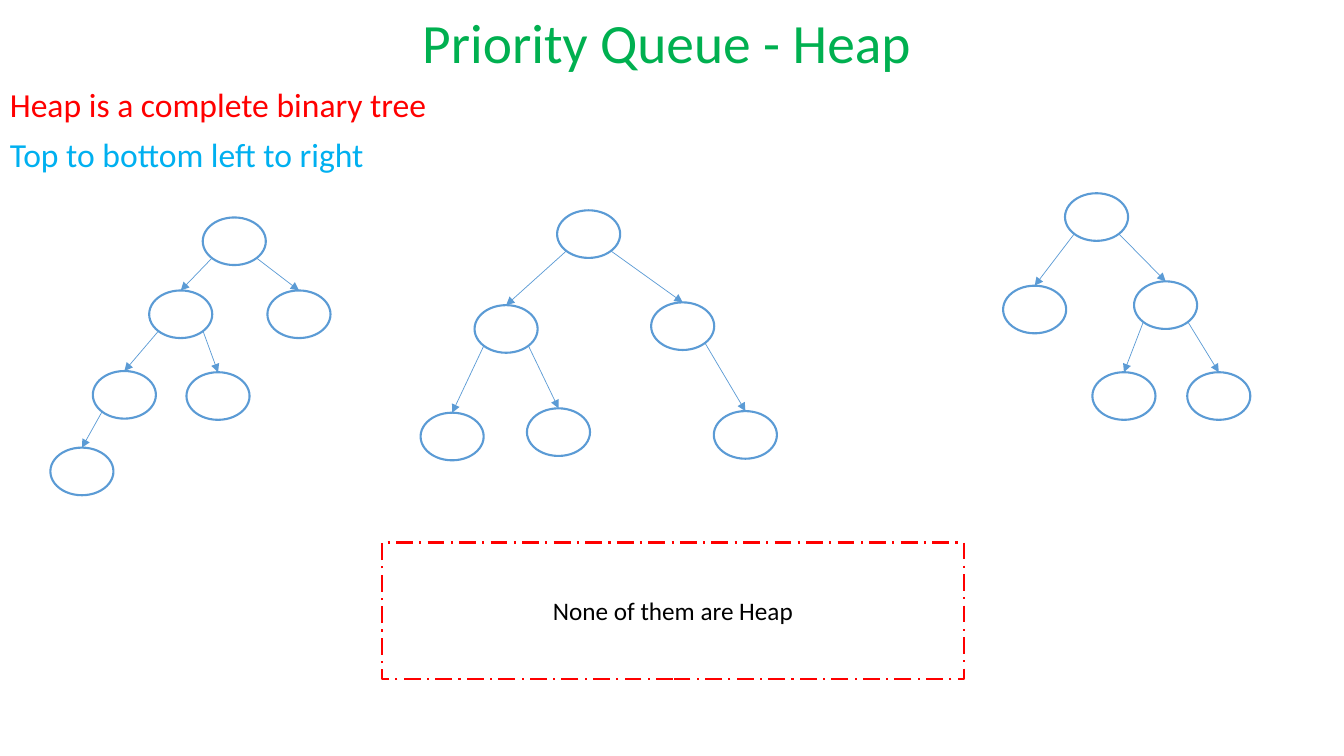
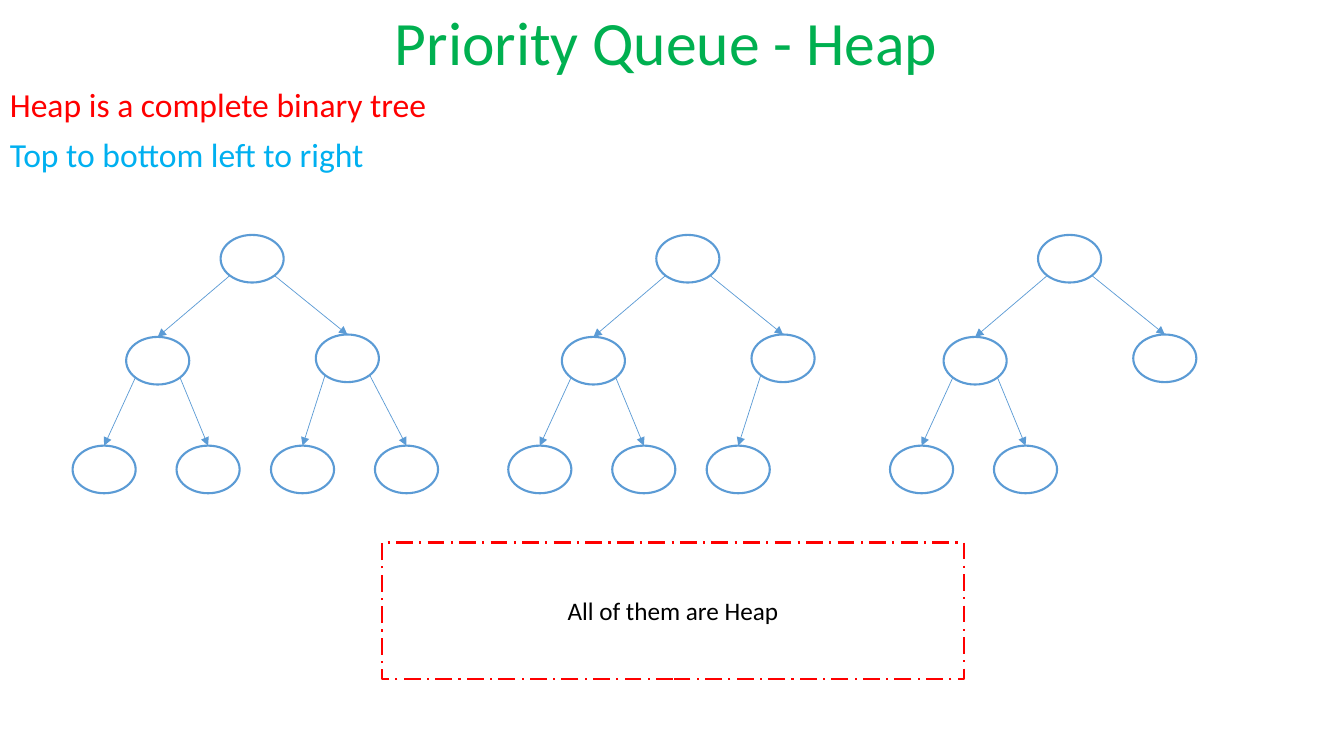
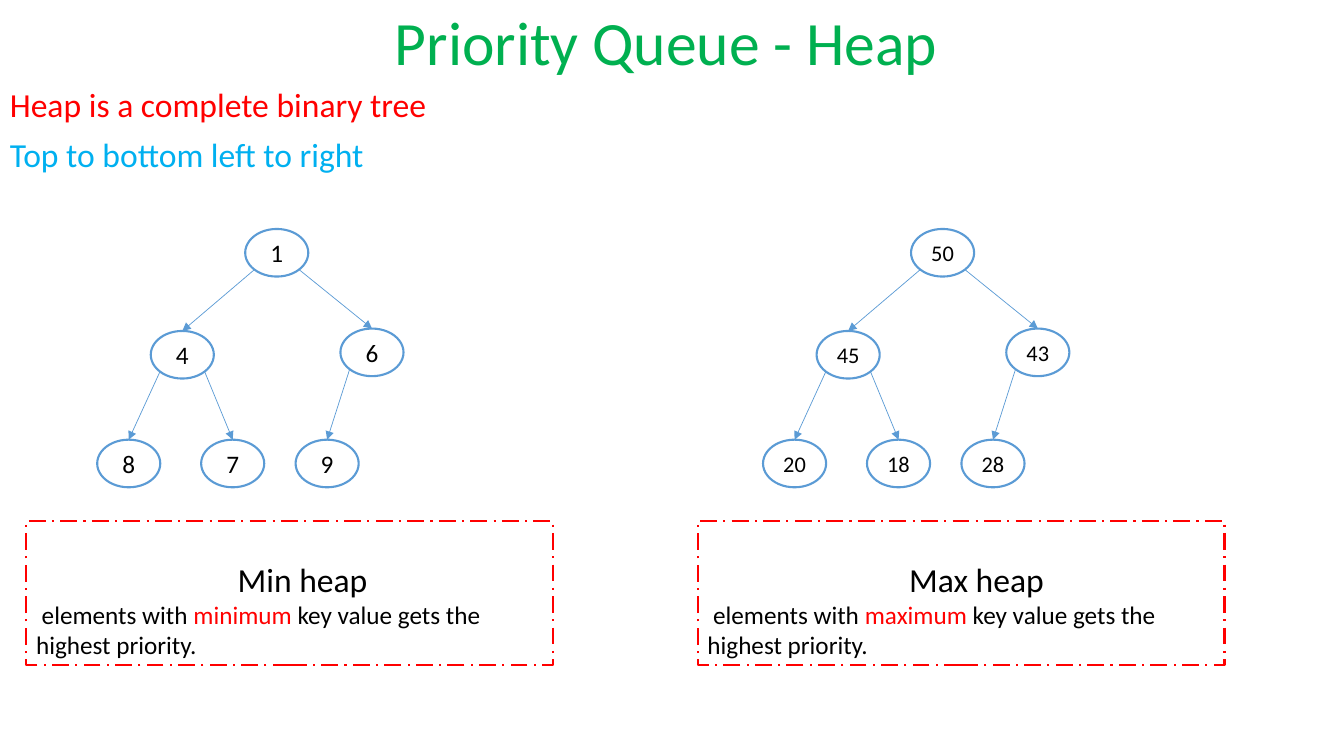
import math

import lxml.etree
import pptx
import pptx.dml.color
import pptx.enum.dml
import pptx.enum.shapes
import pptx.enum.text
import pptx.oxml.ns
import pptx.util

Cm = pptx.util.Cm
Pt = pptx.util.Pt
Shapes = pptx.enum.shapes.MSO_SHAPE
Align = pptx.enum.text.PP_ALIGN
Anchor = pptx.enum.text.MSO_ANCHOR
qn = pptx.oxml.ns.qn

COLOURS = {
    "title": "00B050",
    "red": "FF0000",
    "cyan": "00B0F0",
    "node": "5B9BD5",
    "text": "000000",
    "white": "FFFFFF",
}
FONT = "Calibri"
TITLE = "Priority Queue - Heap"
RULES = [
    ("Heap is a complete binary tree", "red"),
    ("Top to bottom left to right", "cyan"),
]
NODE_WIDTH, NODE_HEIGHT = 1.59, 1.2
HEAP_OFFSETS = [
    (0, 0), (-2.38, 2.57), (2.4, 2.51),
    (-3.73, 5.31), (-1.11, 5.31), (1.27, 5.31), (3.89, 5.31),
]
INCOMPLETE_TREES = [
    {1: (5.11, 5.48), 2: (3.76, 7.32), 3: (6.74, 7.32),
     4: (2.34, 9.35), 5: (4.7, 9.38), 8: (1.27, 11.28)},
    {1: (14.04, 5.3), 2: (11.96, 7.69), 3: (16.41, 7.62),
     4: (10.6, 10.4), 5: (13.28, 10.29), 7: (17.99, 10.36)},
    {1: (26.84, 4.87), 2: (25.28, 7.2), 3: (28.58, 7.09),
     6: (27.53, 9.38), 7: (29.92, 9.38)},
]
HEAP_ROOT_TOP = 5.92
HEAPS = [(5.56, 7), (16.54, 6), (26.16, 5)]
VERDICT_BOX = (9.63, 13.67, 14.66, 3.45)
KEYED_ROOT_TOP = 5.77
KEYED_HEAPS = [
    {"root": 6.18, "keys": [1, 4, 6, 8, 7, 9], "size": 18,
     "box": 0.66, "name": "Min heap", "extreme": "minimum"},
    {"root": 22.96, "keys": [50, 45, 43, 20, 18, 28], "size": 16,
     "box": 17.58, "name": "Max heap", "extreme": "maximum"},
]
KEYED_BOX_TOP, KEYED_BOX_WIDTH, KEYED_BOX_HEIGHT = 13.13, 13.28, 3.63


def colour(name):
    return pptx.dml.color.RGBColor.from_string(COLOURS[name])


def write(paragraph, runs, align=Align.LEFT):
    paragraph.alignment = align
    for text, size, colour_name in runs:
        run = paragraph.add_run()
        run.text = text
        run.font.name = FONT
        run.font.size = Pt(size)
        run.font.color.rgb = colour(colour_name)


def add_outlined(slide, kind, box, line_colour):
    shape = slide.shapes.add_shape(kind, *map(Cm, box))
    shape.shadow.inherit = False
    shape.fill.solid()
    shape.fill.fore_color.rgb = colour("white")
    shape.line.color.rgb = colour(line_colour)
    shape.line.width = Pt(1.5)
    shape.text_frame.word_wrap = True
    shape.text_frame.vertical_anchor = Anchor.MIDDLE
    return shape


def add_dashed_box(slide, box):
    shape = add_outlined(slide, Shapes.RECTANGLE, box, "red")
    shape.line.dash_style = pptx.enum.dml.MSO_LINE.LONG_DASH_DOT
    return shape


def add_arrow(slide, start, end):
    connector = slide.shapes.add_connector(
        pptx.enum.shapes.MSO_CONNECTOR.STRAIGHT, *map(Cm, start + end))
    connector.line.color.rgb = colour("node")
    connector.line.width = Pt(0.5)
    properties = connector._element.spPr
    line = properties.find(qn("a:ln"))
    lxml.etree.SubElement(line, qn("a:tailEnd"), type="triangle")
    lxml.etree.SubElement(properties, qn("a:effectLst"))


def add_tree(slide, nodes, keys=None, size=18):
    for index, (left, top) in nodes.items():
        node = add_outlined(
            slide, Shapes.OVAL, (left, top, NODE_WIDTH, NODE_HEIGHT), "node")
        if keys:
            write(node.text_frame.paragraphs[0],
                  [(str(keys[index - 1]), size, "text")], Align.CENTER)
    diagonal = math.sqrt(0.5)
    for index, (left, top) in nodes.items():
        if index == 1:
            continue
        parent_left, parent_top = nodes[index // 2]
        side = 1 if index % 2 else -1
        start = (parent_left + NODE_WIDTH / 2 * (1 + side * diagonal),
                 parent_top + NODE_HEIGHT / 2 * (1 + diagonal))
        add_arrow(slide, start, (left + NODE_WIDTH / 2, top))


def heap_nodes(root_left, root_top, count):
    return {index: (root_left + across, root_top + down)
            for index, (across, down) in enumerate(HEAP_OFFSETS[:count], 1)}


def add_text_box(slide, box, anchor):
    frame = slide.shapes.add_textbox(*map(Cm, box)).text_frame
    frame.word_wrap = True
    frame.vertical_anchor = anchor
    return frame


def start_slide(presentation, title_size=44, title_height=1.8):
    slide = presentation.slides.add_slide(presentation.slide_layouts[6])
    title = add_text_box(slide, (4.24, 0.3, 25.12, title_height), Anchor.BOTTOM)
    title.paragraphs[0].line_spacing = 0.9
    write(title.paragraphs[0], [(TITLE, title_size, "title")], Align.CENTER)
    rules = add_text_box(slide, (0, 2.11, 33.02, 15.01), Anchor.TOP)
    for number, (text, colour_name) in enumerate(RULES):
        paragraph = rules.add_paragraph() if number else rules.paragraphs[0]
        paragraph.line_spacing = 0.9
        paragraph.space_before = Pt(10)
        write(paragraph, [(text, 24, colour_name)])
    return slide


def add_verdict(slide, text):
    box = add_dashed_box(slide, VERDICT_BOX)
    write(box.text_frame.paragraphs[0], [(text, 18, "text")], Align.CENTER)


def add_definition(slide, heap):
    box = add_dashed_box(
        slide, (heap["box"], KEYED_BOX_TOP, KEYED_BOX_WIDTH, KEYED_BOX_HEIGHT))
    frame = box.text_frame
    frame.margin_top = Cm(0.95)
    heading = frame.paragraphs[0]
    write(heading, [(heap["name"], 24, "text")])
    heading._p.get_or_add_pPr().set("marL", str(Cm(5.08)))
    write(frame.add_paragraph(), [
        (" elements with ", 18, "text"),
        (heap["extreme"], 18, "red"),
        (" key value gets the highest priority.", 18, "text"),
    ])


presentation = pptx.Presentation()
presentation.slide_width = Cm(33.87)
presentation.slide_height = Cm(19.05)

slide = start_slide(presentation, 39.6, 1.73)
for tree in INCOMPLETE_TREES:
    add_tree(slide, tree)
add_verdict(slide, "None of them are Heap")

slide = start_slide(presentation)
for root_left, count in HEAPS:
    add_tree(slide, heap_nodes(root_left, HEAP_ROOT_TOP, count))
add_verdict(slide, "All of them are Heap")

slide = start_slide(presentation)
for heap in KEYED_HEAPS:
    nodes = heap_nodes(heap["root"], KEYED_ROOT_TOP, len(heap["keys"]))
    add_tree(slide, nodes, heap["keys"], heap["size"])
    add_definition(slide, heap)

presentation.save("out.pptx")
